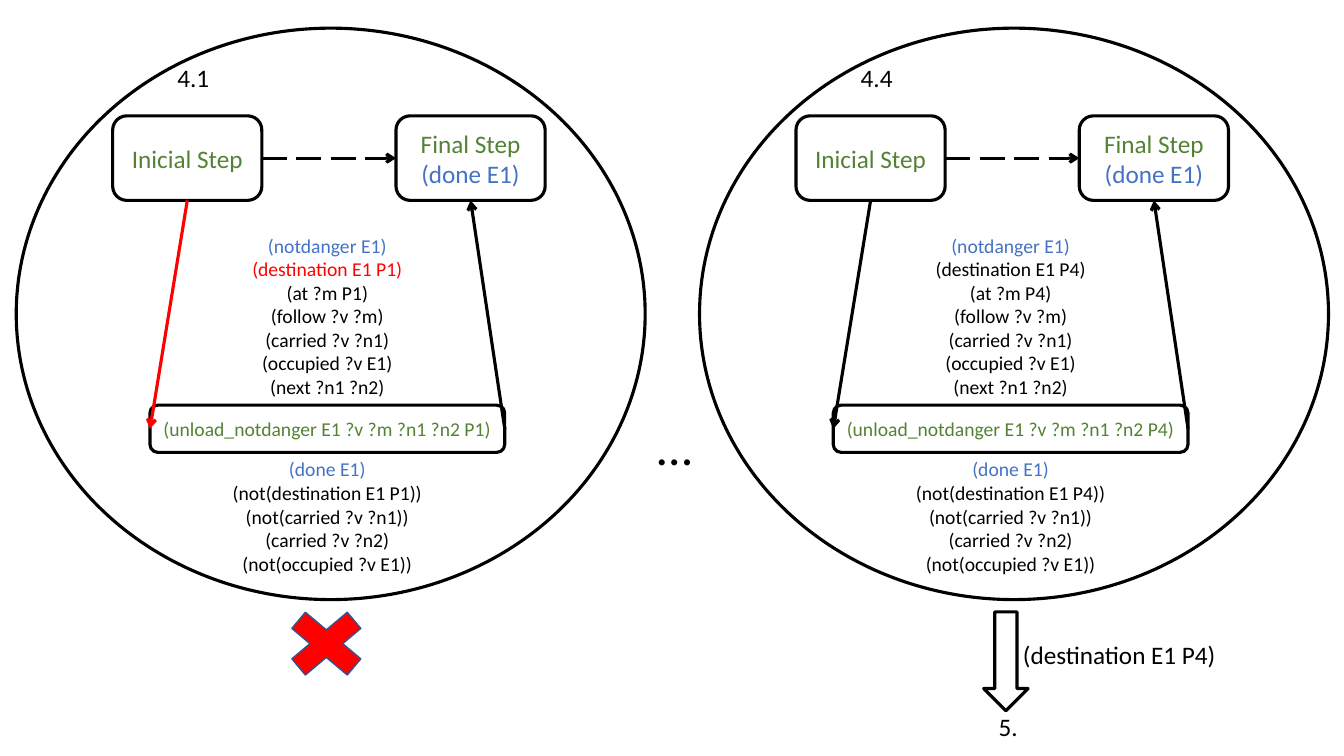
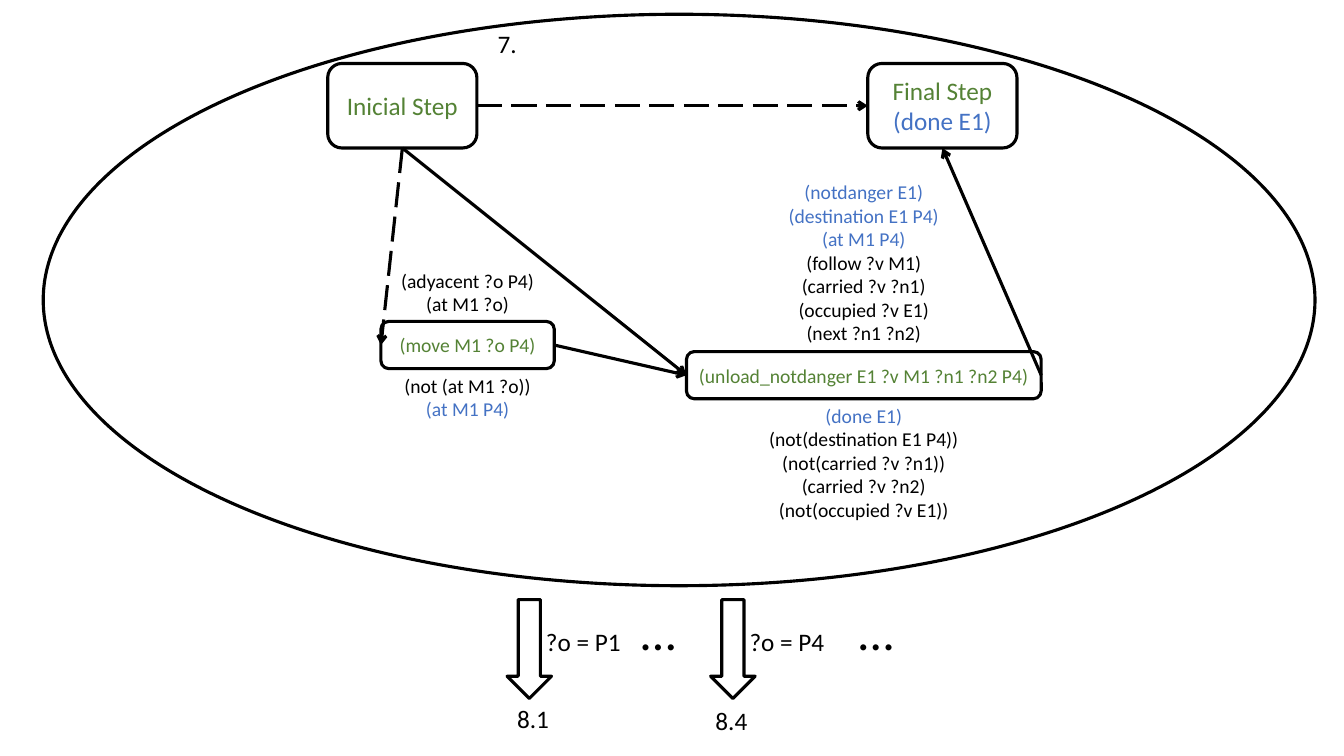
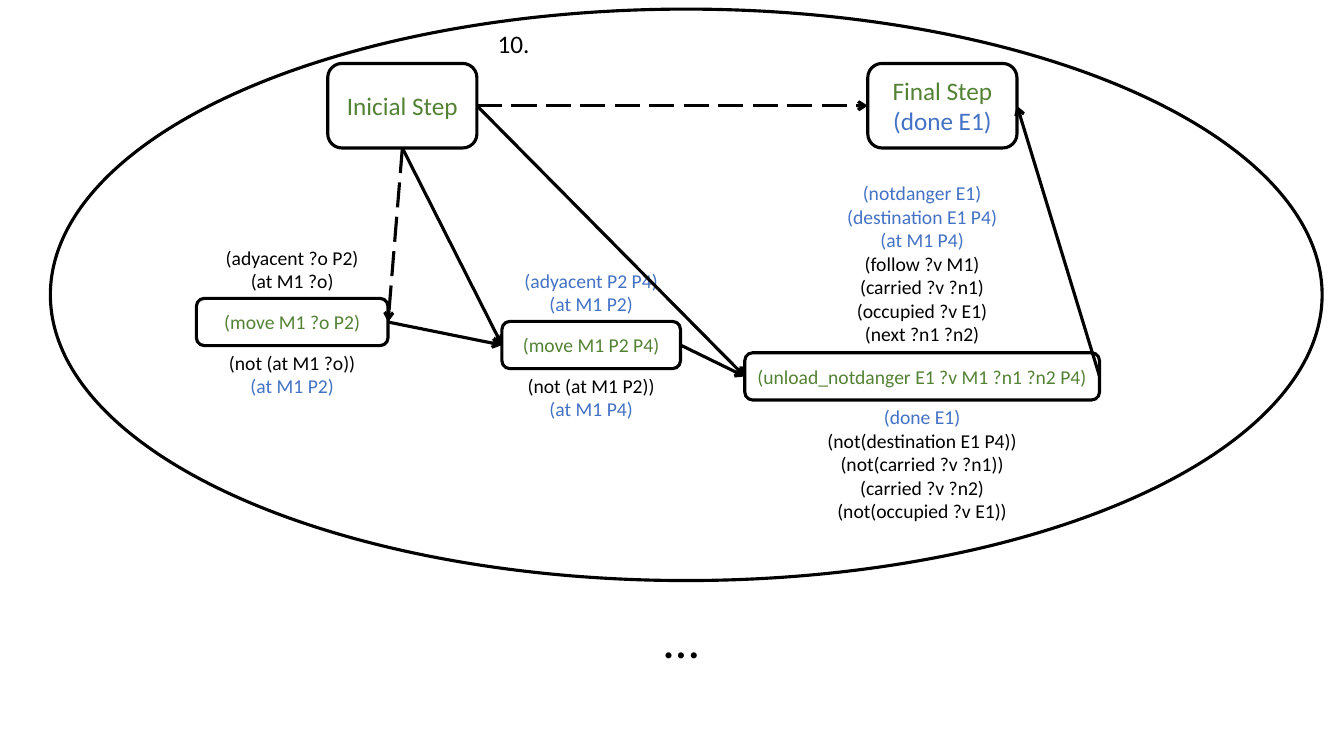
from dataclasses import dataclass
from lxml.etree import SubElement as Sub
from pptx import Presentation
from pptx.dml.color import RGBColor as RGB
from pptx.enum.dml import MSO_LINE as Dash
from pptx.enum.shapes import MSO_CONNECTOR as Wire, MSO_SHAPE as Form
from pptx.enum.text import MSO_ANCHOR as Anchor, MSO_AUTO_SIZE as Auto, PP_ALIGN as Align
from pptx.oxml.ns import qn
from pptx.util import Cm, Pt


@dataclass(frozen=True)
class Theme:
    font: str = "Calibri"
    black: str = "000000"
    white: str = "FFFFFF"
    green: str = "548235"
    blue: str = "4472C4"
    red: str = "FF0000"
    navy: str = "325491"
    small: int = 14
    large: int = 18
    dots: int = 36
    edge: float = 2.25
    thin: float = 1


T = Theme()
TOP, LEFT, BOTTOM, RIGHT = range(4)


def draw(slide, form, x, y, w, h, fill=T.white, edge=T.black, width=T.edge):
    shape = slide.shapes.add_shape(form, Cm(x), Cm(y), Cm(w), Cm(h))
    shape.shadow.inherit = False
    shape.fill.solid()
    shape.fill.fore_color.rgb = RGB.from_string(fill)
    shape.line.color.rgb = RGB.from_string(edge)
    shape.line.width = Pt(width)
    return shape


def write(shape, parts, size, align=Align.CENTER, anchor=Anchor.TOP, auto=Auto.SHAPE_TO_FIT_TEXT):
    frame = shape.text_frame
    frame.word_wrap = True
    frame.auto_size = auto
    frame.vertical_anchor = anchor
    rows = [(color, row) for color, text in parts for row in text.split("\n")]
    for i, (color, row) in enumerate(rows):
        para = frame.add_paragraph() if i else frame.paragraphs[0]
        para.text = row
        para.alignment = align
        para.font.name = T.font
        para.font.size = Pt(size)
        para.font.color.rgb = RGB.from_string(color)


deck = Presentation()
deck.slide_width, deck.slide_height = Cm(33.87), Cm(19.05)
slides = [deck.slides.add_slide(deck.slide_layouts[6]) for _ in range(3)]

tail = "(carried ?v ?n1)\n(occupied ?v E1)\n(next ?n1 ?n2)"
bound = [(T.blue, "(notdanger E1)\n(destination E1 P4)\n(at M1 P4)"),
         (T.black, "(follow ?v M1)\n" + tail)]
freed = "(not(carried ?v ?n1))\n(carried ?v ?n2)\n(not(occupied ?v E1))"
done = [(T.blue, "(done E1)"), (T.black, "(not(destination E1 P4))\n" + freed)]
unload = "(unload_notdanger E1 ?v M1 ?n1 ?n2 P4)"

scenes = []
for x, label, place, hue in ((0, "4.1", "P1", T.red), (17.22, "4.4", "P4", T.black)):
    needs = [(T.blue, "(notdanger E1)"), (hue, f"(destination E1 {place})"),
             (T.black, f"(at ?m {place})\n(follow ?v ?m)\n" + tail)]
    gives = [(T.blue, "(done E1)"), (T.black, f"(not(destination E1 {place}))\n" + freed)]
    scenes.append((
        slides[0], (x + 0.41, 0.71, 15.85), (x + 4.22, 1.45, label), (x + 2.84, x + 9.98, 2.92),
        {"unload": (x + 3.78, 10.21, 8.94, f"(unload_notdanger E1 ?v ?m ?n1 ?n2 {place})", needs, gives)},
        [("start", BOTTOM, "unload", LEFT, hue, False),
         ("unload", RIGHT, "end", BOTTOM, T.black, False)]))

scenes.append((
    slides[1], (1.09, 0.36, 32.05), (12.29, 0.58, "7."), (8.26, 21.87, 1.6),
    {"unload": (17.3, 8.86, 8.94, unload, bound, done),
     "move": (9.6, 8.1, 4.37, "(move M1 ?o P4)",
              [(T.black, "(adyacent ?o P4)\n(at M1 ?o)")],
              [(T.black, "(not (at M1 ?o))"), (T.blue, "(at M1 P4)")])},
    [("unload", RIGHT, "end", BOTTOM, T.black, False),
     ("start", BOTTOM, "unload", LEFT, T.black, False),
     ("start", BOTTOM, "move", LEFT, T.black, True),
     ("move", RIGHT, "unload", LEFT, T.black, False)]))

scenes.append((
    slides[2], (1.27, 0.23, 32.05), (12.29, 0.58, "10."), (8.26, 21.87, 1.6),
    {"unload": (18.77, 8.89, 8.94, unload, bound, done),
     "move": (12.65, 8.1, 4.5, "(move M1 P2 P4)",
              [(T.blue, "(adyacent P2 P4)\n(at M1 P2)")],
              [(T.black, "(not (at M1 P2))"), (T.blue, "(at M1 P4)")]),
     "prior": (4.95, 7.52, 4.83, "(move M1 ?o P2)",
               [(T.black, "(adyacent ?o P2)\n(at M1 ?o)")],
               [(T.black, "(not (at M1 ?o))"), (T.blue, "(at M1 P2)")])},
    [("unload", RIGHT, "end", RIGHT, T.black, False),
     ("start", RIGHT, "unload", LEFT, T.black, False),
     ("start", BOTTOM, "move", LEFT, T.black, False),
     ("move", RIGHT, "unload", LEFT, T.black, False),
     ("start", BOTTOM, "prior", RIGHT, T.black, True),
     ("prior", RIGHT, "move", LEFT, T.black, False)]))

notes = []
for slide, (x, y, w), (tx, ty, label), (first, last, top), acts, links in scenes:
    draw(slide, Form.OVAL, x, y, w, 14.4)
    notes.append((slide, tx, ty, 2, label, T.large))
    nodes = {}
    for name, left, parts in (
            ("start", first, [(T.green, "Inicial Step")]),
            ("end", last, [(T.green, "Final Step"), (T.blue, "(done E1)")])):
        nodes[name] = draw(slide, Form.ROUNDED_RECTANGLE, left, top, 3.76, 2.13)
        write(nodes[name], parts, T.large, anchor=Anchor.MIDDLE, auto=Auto.NONE)
    for name, (left, high, wide, act, needs, gives) in acts.items():
        nodes[name] = draw(slide, Form.ROUNDED_RECTANGLE, left, high, wide, 1.19)
        write(nodes[name], [(T.green, act)], T.small, anchor=Anchor.MIDDLE, auto=Auto.NONE)
        for parts, above in ((needs, True), (gives, False)):
            count = sum(len(text.split("\n")) for _, text in parts)
            tall = 0.25 + 0.6 * count
            row = high - tall if above else high + 1.19
            box = slide.shapes.add_textbox(Cm(left + wide / 2 - 3.58), Cm(row), Cm(7.16), Cm(tall))
            write(box, parts, T.small)
    for a, out, b, into, hue, dashed in [("start", RIGHT, "end", LEFT, T.black, True)] + links:
        link = slide.shapes.add_connector(Wire.STRAIGHT, 0, 0, 0, 0)
        link.begin_connect(nodes[a], out)
        link.end_connect(nodes[b], into)
        link.line.color.rgb = RGB.from_string(hue)
        link.line.width = Pt(T.edge)
        if dashed:
            link.line.dash_style = Dash.LONG_DASH
        props = link.element.spPr
        Sub(props.find(qn("a:ln")), qn("a:tailEnd"), type="arrow")
        Sub(props, qn("a:effectLst"))

for slide, x, y in ((slides[0], 24.79, 15.42), (slides[1], 12.78, 15.11), (slides[1], 17.91, 15.11)):
    draw(slide, Form.DOWN_ARROW, x, y, 1.12, 2.49)
draw(slides[0], Form.MATH_MULTIPLY, 6.88, 15.09, 2.69, 2.26, T.red, T.navy, T.thin)

notes += [
    (slides[0], 16.31, 10.34, 1.65, "…", T.dots),
    (slides[0], 25.53, 15.98, 5.64, "(destination E1 P4)", T.large),
    (slides[0], 24.92, 17.81, 2, "5.", T.large),
    (slides[1], 13.51, 15.67, 2.67, "?o = P1", T.large),
    (slides[1], 15.9, 15.01, 1.65, "…", T.dots),
    (slides[1], 18.64, 15.67, 2.77, "?o = P4", T.large),
    (slides[1], 21.39, 15.01, 1.65, "…", T.dots),
    (slides[1], 12.78, 17.6, 2, "8.1", T.large),
    (slides[1], 17.78, 17.65, 2, "8.4", T.large),
    (slides[2], 16.48, 15.21, 1.65, "…", T.dots),
]
for slide, x, y, w, text, size in notes:
    box = slide.shapes.add_textbox(Cm(x), Cm(y), Cm(w), Cm(1.02))
    write(box, [(T.black, text)], size, Align.LEFT)

deck.save("out.pptx")
